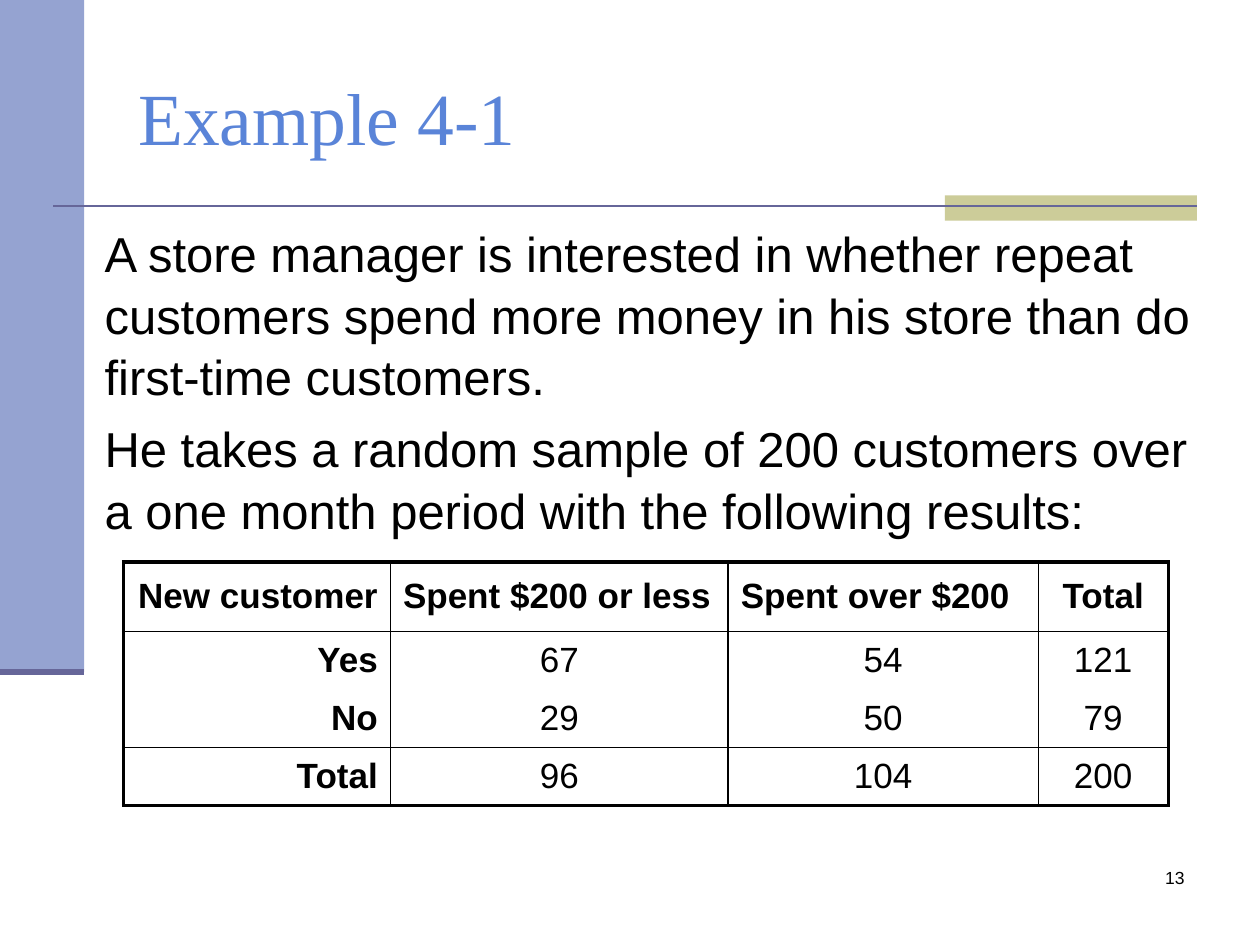
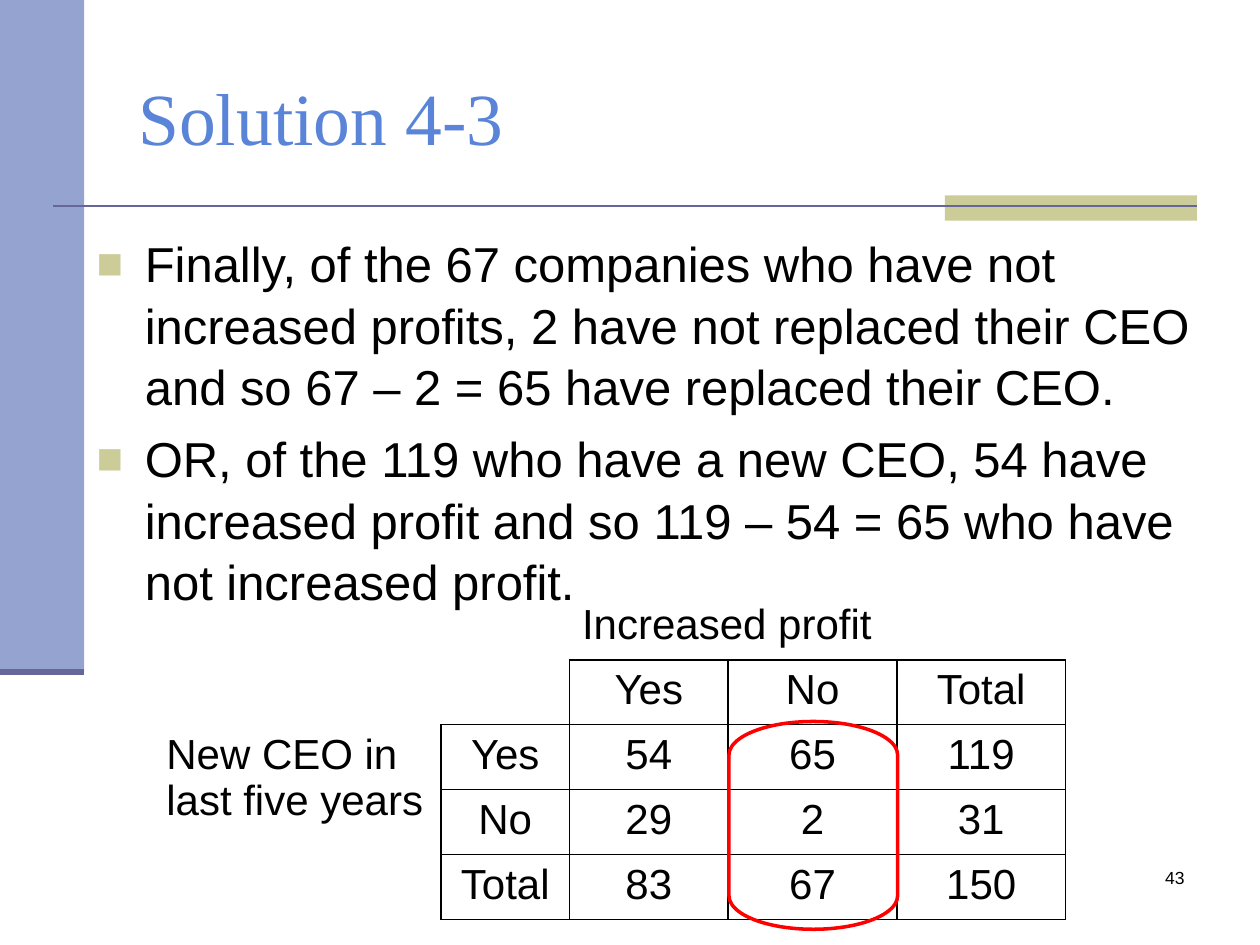
from lxml import etree
from pptx import Presentation
from pptx.dml.color import RGBColor
from pptx.enum.shapes import MSO_CONNECTOR, MSO_SHAPE
from pptx.enum.text import MSO_ANCHOR, PP_ALIGN
from pptx.oxml.ns import qn
from pptx.util import Cm, Pt

COLOURS = {
    "text": "000000",
    "title": "5A84D8",
    "side": "95A3D1",
    "accent": "CCCC99",
    "rule": "666699",
    "highlight": "FF0000",
}
BODY_FONT, TITLE_FONT = "Arial", "Times New Roman"
LEFT, CENTRE, RIGHT = PP_ALIGN.LEFT, PP_ALIGN.CENTER, PP_ALIGN.RIGHT


def colour(name):
    return RGBColor.from_string(COLOURS[name])


def child(parent, tag, **attributes):
    return etree.SubElement(parent, qn(tag), attributes)


# Text
def add_span(para, words, size, font=BODY_FONT, ink="text", bold=False):
    span = para.add_run()
    span.text = words
    span.font.size = Pt(size)
    span.font.name = font
    span.font.bold = bold
    span.font.color.rgb = colour(ink)


def add_box(page, left, top, width, height, anchor=MSO_ANCHOR.TOP):
    box = page.shapes.add_textbox(Cm(left), Cm(top), Cm(width), Cm(height))
    frame = box.text_frame
    frame.word_wrap = True
    frame.vertical_anchor = anchor
    return frame


def add_bullet(para):
    properties = para._p.get_or_add_pPr()
    properties.set("marL", str(Cm(0.97)))
    properties.set("indent", str(-Cm(0.97)))
    child(child(properties, "a:buClr"), "a:srgbClr", val=COLOURS["accent"])
    child(properties, "a:buSzPct", val="90000")
    child(properties, "a:buFont", typeface=BODY_FONT)
    child(properties, "a:buChar", char="■")


def add_body(page, left, top, width, height, texts, bulleted=False):
    frame = add_box(page, left, top, width, height)
    for index, words in enumerate(texts):
        para = frame.add_paragraph() if index else frame.paragraphs[0]
        if bulleted:
            add_bullet(para)
        para.line_spacing = 1.05
        if index:
            para.space_before = Pt(5.6)
        add_span(para, words, 28)


# Shapes
def add_band(page, left, top, width, height, fill):
    band = page.shapes.add_shape(
        MSO_SHAPE.RECTANGLE, Cm(left), Cm(top), Cm(width), Cm(height))
    band.shadow.inherit = False
    band.fill.solid()
    band.fill.fore_color.rgb = colour(fill)
    band.line.fill.background()


def add_rule(page, start, end, y, weight):
    rule = page.shapes.add_connector(
        MSO_CONNECTOR.STRAIGHT, Cm(start), Cm(y), Cm(end), Cm(y))
    rule.line.color.rgb = colour("rule")
    rule.line.width = Pt(weight)
    child(rule._element.spPr, "a:effectLst")


def add_column_ring(page, left, top, width, height):
    ring = page.shapes.add_shape(
        MSO_SHAPE.FLOWCHART_TERMINATOR, Cm(left), Cm(top), Cm(width), Cm(height))
    ring.rotation = 90
    ring.shadow.inherit = False
    ring.fill.background()
    ring.line.color.rgb = colour("highlight")
    ring.line.width = Pt(2)


# Tables
def set_borders(cell, weights):
    """Weights in points for left, right, top and bottom; 0 means no line."""
    properties = cell._tc.get_or_add_tcPr()
    for index, (side, weight) in enumerate(zip("LRTB", weights)):
        border = etree.Element(qn(f"a:ln{side}"), w=str(Pt(weight)))
        if weight:
            fill = child(border, "a:solidFill")
            child(fill, "a:srgbClr", val=COLOURS["text"])
        else:
            child(border, "a:noFill")
        properties.insert(index, border)


def add_grid(page, left, top, widths, heights, across, down):
    """across(line, column) and down(row, line) give the border weights."""
    table = page.shapes.add_table(
        len(heights), len(widths), Cm(left), Cm(top),
        Cm(sum(widths)), Cm(sum(heights))).table
    table.first_row = table.horz_banding = False
    for column, width in zip(table.columns, widths):
        column.width = Cm(width)
    for row, height in zip(table.rows, heights):
        row.height = Cm(height)
    for r in range(len(heights)):
        for c in range(len(widths)):
            cell = table.cell(r, c)
            cell.fill.background()
            set_borders(cell, (down(r, c), down(r, c + 1),
                               across(r, c), across(r + 1, c)))
    return table


def write_cell(cell, words, size, align=CENTRE, bold=False):
    para = cell.text_frame.paragraphs[0]
    para.alignment = align
    add_span(para, words, size, bold=bold)


def add_spending_table(page):
    rows = [
        ("New customer", "Spent $200 or less", "Spent over $200", "Total"),
        ("Yes", "67", "54", "121"),
        ("No", "29", "50", "79"),
        ("Total", "96", "104", "200"),
    ]
    across_weights = (2.25, 1, 0, 1, 2.25)
    down_weights = (2.25, 1, 1, 1, 2.25)
    table = add_grid(
        page, 2.49, 11.33, (5.38, 6.81, 6.25, 2.62), (1.4, 1.17, 1.17, 1.17),
        lambda line, column: across_weights[line],
        lambda row, line: down_weights[line])
    header_aligns = (RIGHT, LEFT, LEFT, CENTRE)
    value_aligns = (RIGHT, CENTRE, CENTRE, CENTRE)
    for r, row in enumerate(rows):
        aligns = value_aligns if r else header_aligns
        for c, words in enumerate(row):
            cell = table.cell(r, c)
            cell.vertical_anchor = MSO_ANCHOR.MIDDLE
            write_cell(cell, words, 20, aligns[c], bold=r == 0 or c == 0)


def add_profit_table(page):
    rows = [
        ("", "Yes", "No", "Total"),
        ("Yes", "54", "65", "119"),
        ("No", "29", "2", "31"),
        ("Total", "83", "67", "150"),
    ]
    # The grid leaves out the labels and the corner above the row names
    table = add_grid(
        page, 3.1, 11.99, (5.79, 2.59, 3.2, 3.4, 3.4), (1.31,) * 5,
        lambda line, column: int(column >= 1 and line >= 1 and line + column >= 3),
        lambda row, line: int(row >= 1 and line >= 1 and row + line >= 3))
    table.cell(0, 2).merge(table.cell(0, 3))
    table.cell(2, 0).merge(table.cell(4, 0))
    write_cell(table.cell(0, 2), "Increased profit", 24, LEFT)
    write_cell(table.cell(2, 0), "New CEO in last five years", 24, LEFT)
    for r, row in enumerate(rows, start=1):
        for c, words in enumerate(row, start=1):
            if words:
                write_cell(table.cell(r, c), words, 24)


# Shared slide frame
def add_page(deck, title, number):
    page = deck.slides.add_slide(deck.slide_layouts[6])
    add_band(page, 0, 0, 1.7, 13.55, "side")
    add_band(page, 19.05, 3.94, 5.08, 0.51, "accent")
    add_rule(page, 1.07, 24.13, 4.15, 1.5)
    add_rule(page, 0, 1.7, 13.55, 3.5)
    number_para = add_box(page, 18.85, 17.35, 5.28, 1.27).paragraphs[0]
    number_para.alignment = RIGHT
    add_span(number_para, number, 10)
    heading = add_box(page, 2.54, 0.76, 21.59, 3.18, MSO_ANCHOR.MIDDLE)
    add_span(heading.paragraphs[0], title, 42, TITLE_FONT, "title")
    return page


def main():
    deck = Presentation()
    deck.slide_width, deck.slide_height = Cm(25.4), Cm(19.05)

    # Store example
    page = add_page(deck, "Example 4-1", "13")
    add_body(page, 1.86, 4.32, 22.42, 6.43, [
        "A store manager is interested in whether repeat customers spend "
        "more money in his store than do first-time customers.",
        "He takes a random sample of 200 customers over a one month period "
        "with the following results:",
    ])
    add_spending_table(page)

    # New CEO solution
    page = add_page(deck, "Solution 4-3", "43")
    add_body(page, 1.7, 4.52, 22.81, 7.62, [
        "Finally, of the 67 companies who have not increased profits, 2 have "
        "not replaced their CEO and so 67 – 2 = 65 have replaced their CEO.",
        "OR, of the 119 who have a new CEO, 54 have increased profit and so "
        "119 – 54 = 65 who have not increased profit.",
    ], bulleted=True)
    add_profit_table(page)
    add_column_ring(page, 14.3, 14.94, 4.19, 3.4)

    deck.save("out.pptx")


if __name__ == "__main__":
    main()
